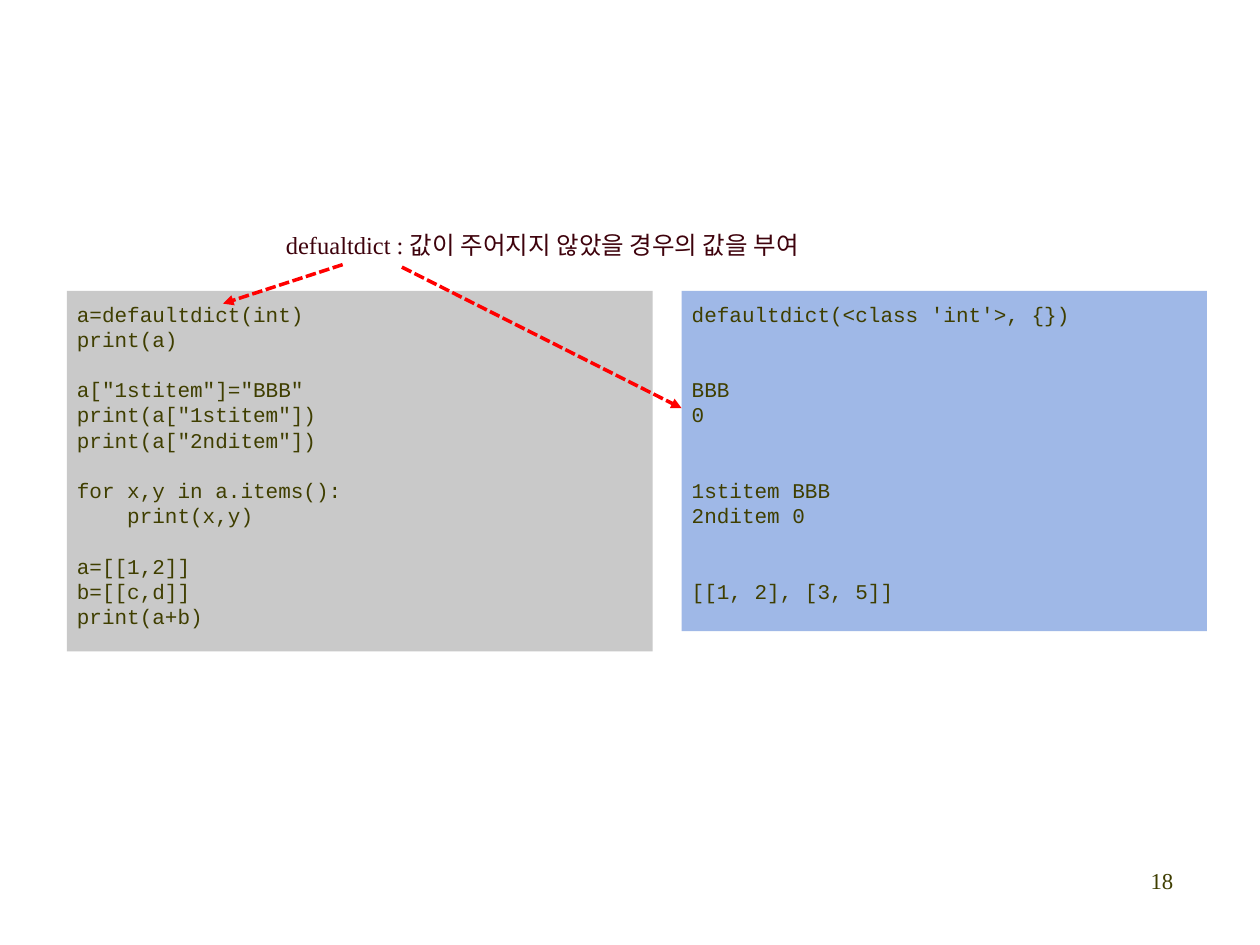
from lxml import etree
from pptx import Presentation
from pptx import util as u
from pptx.dml.color import RGBColor
from pptx.enum import dml, shapes, text
from pptx.oxml.ns import qn

OLIVE = RGBColor(0x3F, 0x3E, 0x00)
MAROON = RGBColor(0x3E, 0x02, 0x0C)
GREY = RGBColor(0xC9, 0xC9, 0xC9)
BLUE = RGBColor(0x9F, 0xB8, 0xE7)
RED = RGBColor(0xFF, 0x00, 0x00)
LINE_PITCH = 14.4

CODE = """a=defaultdict(int)
print(a)

a["1stitem"]="BBB"
print(a["1stitem"])
print(a["2nditem"])

for x,y in a.items():
    print(x,y)

a=[[1,2]]
b=[[c,d]]
print(a+b)"""

OUTPUT = """defaultdict(<class 'int'>, {})


BBB
0


1stitem BBB
2nditem 0


[[1, 2], [3, 5]]"""

deck = Presentation()
deck.slide_width, deck.slide_height = u.Inches(10), u.Inches(7.5)
page = deck.slides.add_slide(deck.slide_layouts[6])


def share(*percents):
    """Turn alternating x, y percentages of the slide into lengths."""
    sides = (deck.slide_width, deck.slide_height)
    return [u.Emu(round(sides[i % 2] * p / 100)) for i, p in enumerate(percents)]


# Page number and caption
labels = [
    ("18", (73.3, 91.07, 20.8, 6.67), 13, OLIVE, text.PP_ALIGN.RIGHT),
    ("defualtdict : 값이 주어지지 않았을 경우의 값을 부여",
     (21.7, 23.73, 45.8, 4.53), 14, MAROON, text.PP_ALIGN.LEFT),
]
for words, place, size, color, align in labels:
    box = page.shapes.add_textbox(*share(*place))
    box.text_frame.word_wrap = True
    para = box.text_frame.paragraphs[0]
    para.text = words
    para.alignment = align
    para.font.name = "Times New Roman"
    para.font.size = u.Pt(size)
    para.font.color.rgb = color

# Program and its output; an empty line becomes space before the next one
panels = [
    (OUTPUT, (54.1, 30.8, 41.7, 36), BLUE),
    (CODE, (5.3, 30.8, 46.5, 38.13), GREY),
]
for listing, place, fill in panels:
    panel = page.shapes.add_shape(shapes.MSO_SHAPE.RECTANGLE, *share(*place))
    panel.shadow.inherit = False
    panel.fill.solid()
    panel.fill.fore_color.rgb = fill
    panel.line.fill.background()
    frame = panel.text_frame
    frame.word_wrap = True
    frame.vertical_anchor = text.MSO_ANCHOR.TOP
    frame.margin_left = frame.margin_right = frame.margin_top = u.Inches(0.08)
    frame.margin_bottom = 0
    para, gaps = frame.paragraphs[0], 0
    for number, line in enumerate(listing.split("\n")):
        if not line:
            gaps += 1
            continue
        if number:
            para = frame.add_paragraph()
        para.text = line
        para.alignment = text.PP_ALIGN.LEFT
        para.line_spacing = u.Pt(LINE_PITCH)
        if gaps:
            para.space_before = u.Pt(gaps * LINE_PITCH)
        para.font.name = "Courier New"
        para.font.size = u.Pt(12)
        para.font.color.rgb = OLIVE
        gaps = 0

# Dashed arrows from the caption to the code and the output
for ends in [(27.2, 28, 17.7, 32.13), (31.9, 28.27, 54.1, 43.2)]:
    arrow = page.shapes.add_connector(shapes.MSO_CONNECTOR.STRAIGHT, *share(*ends))
    arrow.line.color.rgb = RED
    arrow.line.width = u.Pt(2)
    arrow.line.dash_style = dml.MSO_LINE.SQUARE_DOT
    properties = arrow._element.spPr
    etree.SubElement(properties.find(qn("a:ln")), qn("a:tailEnd"), type="triangle")
    etree.SubElement(properties, qn("a:effectLst"))

deck.save("out.pptx")
